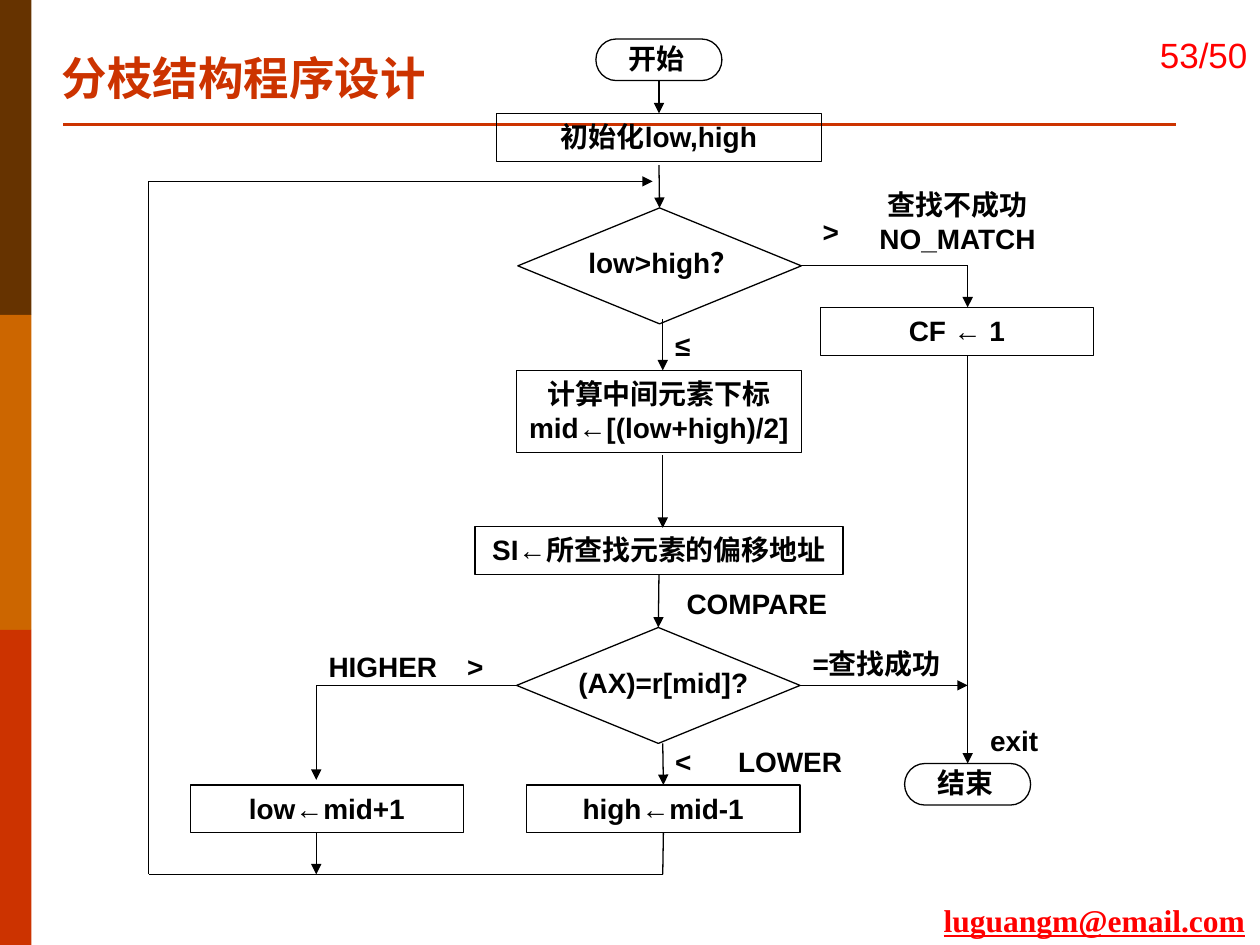
from dataclasses import dataclass

from lxml import etree
from pptx import Presentation
from pptx import util as u
from pptx.dml.color import RGBColor
from pptx.enum import shapes, text
from pptx.oxml.ns import qn


@dataclass(frozen=True)
class Theme:
    ink: str = "000000"
    accent: str = "CC3300"
    alert: str = "FF0000"
    bands: tuple = ("663300", "CC6600", "CC3300")
    sans: str = "Arial"
    serif: str = "Times New Roman"
    body: int = 16
    footer: int = 18
    number: int = 20
    title: int = 26
    thin: float = 0.75
    rule: float = 1.5


THEME = Theme()
KIND = shapes.MSO_SHAPE
ALIGN = text.PP_ALIGN
TOP, LEFT, BOTTOM, RIGHT = range(4)


def color(value):
    return RGBColor.from_string(value)


def write(shape, lines, align=ALIGN.LEFT, size=THEME.body, font=THEME.sans,
          ink=THEME.ink, bold=True, underline=None, wrap=True, tab=None):
    """Fill a shape or text box with evenly styled paragraphs."""
    frame = shape.text_frame
    frame.word_wrap = wrap
    frame.vertical_anchor = text.MSO_ANCHOR.TOP
    frame.auto_size = text.MSO_AUTO_SIZE.SHAPE_TO_FIT_TEXT
    frame.text = lines
    for para in frame.paragraphs:
        para.alignment = align
        if tab:
            stops = etree.SubElement(para._p.get_or_add_pPr(), qn("a:tabLst"))
            etree.SubElement(stops, qn("a:tab"), pos=str(u.Inches(tab)), algn="l")
        para.font.size = u.Pt(size)
        para.font.name = font
        para.font.bold = bold
        para.font.underline = underline
        para.font.color.rgb = color(ink)


def add_label(page, at, lines, **style):
    box = page.shapes.add_textbox(*map(u.Inches, at))
    write(box, lines, **style)
    return box


def add_block(page, kind, at, fill=None):
    block = page.shapes.add_shape(kind, *map(u.Inches, at))
    block.shadow.inherit = False
    if fill:
        block.fill.solid()
        block.fill.fore_color.rgb = color(fill)
        block.line.fill.background()
    else:
        block.fill.background()
        block.line.color.rgb = color(THEME.ink)
        block.line.width = u.Pt(THEME.thin)
    return block


def add_step(page, at, lines):
    step = add_block(page, KIND.RECTANGLE, at)
    write(step, lines, align=ALIGN.CENTER)
    return step


def add_terminal(page, left, top, words):
    terminal = add_block(page, KIND.FLOWCHART_TERMINATOR, (left, top, 1, 0.33))
    add_label(page, (left + 0.16, top - 0.03, 0.75, 0.37), words)
    return terminal


def add_decision(page, left, top, words):
    decision = add_block(page, KIND.FLOWCHART_DECISION, (left, top, 2.25, 0.92))
    add_label(page, (4.18, top + 0.25, 2.17, 0.37), words, align=ALIGN.CENTER)
    return decision


def add_wire(page, start, end, arrow=True, ink=THEME.ink, width=THEME.thin):
    """Join two ends, each an (x, y) point or a (shape, side) pair."""
    joined = [not isinstance(spot[0], (int, float)) for spot in (start, end)]
    points = [(0, 0) if fixed else spot for fixed, spot in zip(joined, (start, end))]
    wire = page.shapes.add_connector(
        shapes.MSO_CONNECTOR.STRAIGHT, *(u.Inches(v) for point in points for v in point))
    if joined[0]:
        wire.begin_connect(*start)
    if joined[1]:
        wire.end_connect(*end)
    wire.line.color.rgb = color(ink)
    wire.line.width = u.Pt(width)
    if arrow:
        etree.SubElement(wire.line._get_or_add_ln(), qn("a:tailEnd"), type="triangle")
    etree.SubElement(wire._element.spPr, qn("a:effectLst"))


def add_frame(page):
    # Side bands and title rule
    for row, fill in enumerate(THEME.bands):
        add_block(page, KIND.RECTANGLE, (0, 2.5 * row, 0.25, 2.5), fill)
    add_wire(page, (0.5, 0.99), (9.33, 0.99), False, THEME.accent, THEME.rule)

    # Title, page number and contact
    add_label(page, (0.39, 0.35, 6.99, 0.54), "分枝结构程序设计",
              size=THEME.title, font=THEME.serif, ink=THEME.accent)
    number = add_label(page, (8.78, 0.01, 1.22, 0.84), "53/50", align=ALIGN.RIGHT,
                       size=THEME.number, ink=THEME.alert, bold=False)
    number.text_frame.auto_size = text.MSO_AUTO_SIZE.NONE
    number.text_frame.vertical_anchor = text.MSO_ANCHOR.MIDDLE
    add_label(page, (7.39, 7.1, 2.61, 0.4), "luguangm@email.com", size=THEME.footer,
              font=THEME.serif, ink=THEME.alert, underline=True, wrap=False)


def add_flowchart(page):
    # Steps and decisions
    start = add_terminal(page, 4.73, 0.31, "开始")
    finish = add_terminal(page, 7.18, 6.06, "结束")
    setup = add_step(page, (3.94, 0.9, 2.58, 0.38), "初始化low,high")
    add_step(page, (4.1, 2.94, 2.26, 0.65), "计算中间元素下标\nmid←[(low+high)/2]")
    address = add_step(page, (3.77, 4.18, 2.92, 0.38), "SI←所查找元素的偏移地址")
    lower = add_step(page, (4.18, 6.23, 2.17, 0.38), "high←mid-1")
    add_step(page, (1.51, 6.23, 2.17, 0.38), "low←mid+1")
    add_step(page, (6.51, 2.44, 2.17, 0.38), "CF ← 1")
    bounds = add_decision(page, 4.11, 1.65, "low>high？")
    compare = add_decision(page, 4.1, 4.98, "(AX)=r[mid]?")

    # Main path downwards
    main_x, low_x, exit_x, loop_x = 5.26, 2.51, 7.68, 1.18
    loop_top, loop_bottom, compare_y = 1.44, 6.94, 5.44
    add_wire(page, (start, BOTTOM), (setup, TOP))
    add_wire(page, (5.23, 1.31), (bounds, TOP))
    add_wire(page, (main_x, 2.53), (main_x, 2.94))
    add_wire(page, (main_x, 3.61), (main_x, 4.19))
    add_wire(page, (address, BOTTOM), (compare, TOP))
    add_wire(page, (main_x, 5.9), (lower, TOP))

    # Exit path
    add_wire(page, (bounds, RIGHT), (exit_x, 2.11), False)
    add_wire(page, (exit_x, 2.11), (exit_x, 2.44))
    add_wire(page, (exit_x, 2.82), (finish, TOP))
    add_wire(page, (compare, RIGHT), (exit_x, compare_y))

    # Higher branch and loop back
    add_wire(page, (compare, LEFT), (low_x, compare_y), False)
    add_wire(page, (low_x, compare_y), (low_x, 6.19))
    add_wire(page, (low_x, 6.61), (low_x, loop_bottom))
    add_wire(page, (lower, BOTTOM), (main_x, loop_bottom), False)
    add_wire(page, (main_x, loop_bottom), (loop_x, loop_bottom), False)
    add_wire(page, (loop_x, loop_bottom), (loop_x, loop_top), False)
    add_wire(page, (loop_x, loop_top), (5.18, loop_top))

    # Branch labels
    for left, top, width, words, tab in (
        (2.51, 5.11, 1.5, "HIGHER\t>", 1.1),
        (6.43, 1.65, 0.33, ">", None),
        (5.26, 2.56, 0.5, "≤", None),
        (5.35, 4.61, 1.75, "COMPARE", None),
        (6.35, 5.08, 1.42, "=查找成功", None),
        (5.26, 5.86, 1.58, "<\tLOWER", 0.5),
        (7.76, 5.69, 1.08, "exit", None),
    ):
        add_label(page, (left, top, width, 0.37), words, tab=tab)
    add_label(page, (6.85, 1.44, 1.5, 0.64), "查找不成功\nNO_MATCH", align=ALIGN.CENTER)


def main():
    deck = Presentation()
    deck.slide_width, deck.slide_height = u.Inches(10), u.Inches(7.5)
    page = deck.slides.add_slide(deck.slide_layouts[6])
    add_frame(page)
    add_flowchart(page)
    deck.save("out.pptx")


if __name__ == "__main__":
    main()
